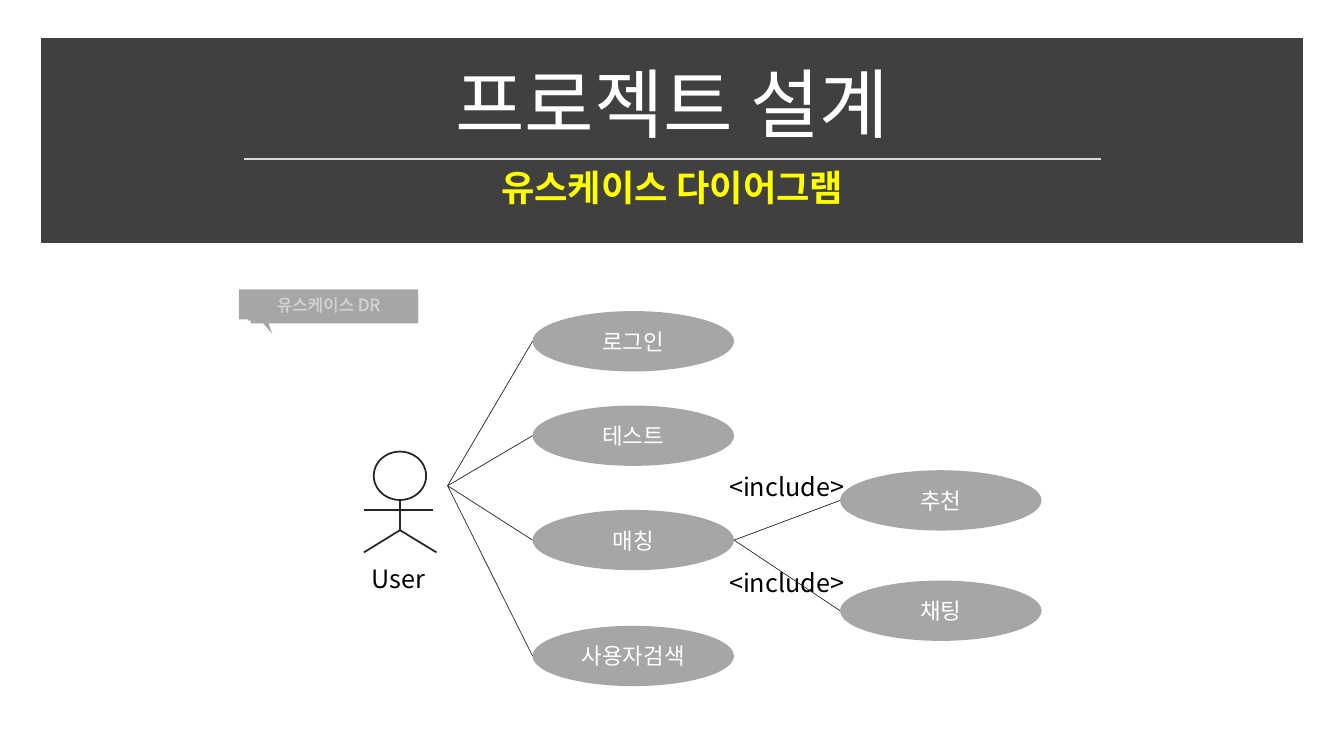
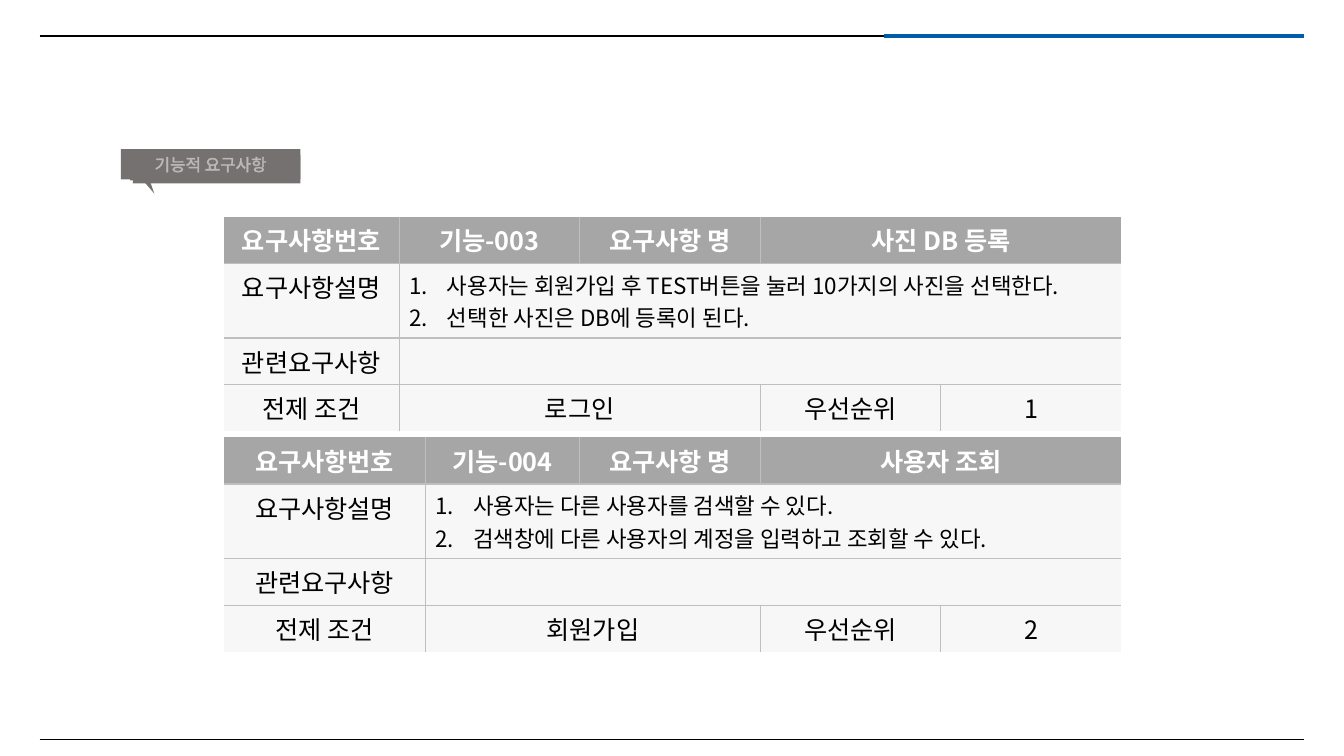
from dataclasses import dataclass
from typing import Any, NamedTuple, Optional

from pptx import Presentation
from pptx.dml.color import RGBColor
from pptx.enum.shapes import MSO_CONNECTOR, MSO_SHAPE
from pptx.enum.text import MSO_ANCHOR, MSO_AUTO_SIZE, PP_ALIGN
from pptx.oxml.xmlchemy import OxmlElement
from pptx.util import Cm, Pt


@dataclass(frozen=True)
class Theme:
    font: str = "Noto Sans CJK KR"
    white: str = "FFFFFF"
    black: str = "000000"
    dark: str = "404040"
    ink: str = "262626"
    gray: str = "A6A6A6"
    stone: str = "767171"
    pale: str = "F7F7F7"
    rule: str = "D9D9D9"
    grid: str = "BFBFBF"
    blue: str = "005BAA"
    gold: str = "FFFF00"
    title: float = 54
    sub: float = 25.9
    body: float = 18
    item: float = 16
    tag: float = 12


T = Theme()


class Box(NamedTuple):
    x: float
    y: float
    w: float
    h: float


class Case(NamedTuple):
    text: str
    x: float
    y: float


class Line(NamedTuple):
    x1: float
    y1: float
    x2: float
    y2: float
    color: str = T.ink
    width: float = 1.25


class Span(NamedTuple):
    text: str
    first: int
    last: int


class Need(NamedTuple):
    y: float
    code: str
    name: str
    steps: str
    prior: str
    rank: str
    cols: tuple[float, ...]


CASE_W, CASE_H = 5.08, 1.52
LEFT, RIGHT = 13.42, 21.17
HUB = (11.28, 12.24)
MATCH = Case("매칭", LEFT, 12.85)
MAIN = (
    Case("로그인", LEFT, 7.84),
    Case("테스트", LEFT, 10.22),
    MATCH,
    Case("사용자검색", LEFT, 15.77),
)
EXTRA = (Case("추천", RIGHT, 11.85), Case("채팅", RIGHT, 14.63))

LIMBS = (
    Line(9.17, 12.85, 10.92, 12.85),
    Line(10.08, 12.57, 10.08, 13.36),
    Line(10.08, 13.36, 11.0, 13.92),
    Line(10.08, 13.36, 9.17, 13.92),
)
LABELS = (
    ("User", Box(9.07, 14.07, 1.93, 1.02)),
    ("<include>", Box(17.83, 11.74, 3.99, 1.02)),
    ("<include>", Box(17.83, 14.18, 3.99, 1.02)),
)
FRAME = (
    Line(1, 0.9, 22.28, 0.9, T.black, 1.5),
    Line(22.28, 0.9, 32.86, 0.9, T.blue, 3),
    Line(1, 18.62, 22.28, 18.62, T.black, 0.5),
    Line(22.28, 18.62, 32.86, 18.62, T.black, 0.5),
)
ROWS = (1.04, 1.63, 1.04, 1.04)
NEEDS = (
    Need(5.46, "기능-003", "사진 DB 등록",
         "사용자는 회원가입 후 TEST버튼을 눌러 10가지의 사진을 선택한다.\n"
         "선택한 사진은 DB에 등록이 된다.",
         "로그인", "1", (4.42, 4.55, 4.55, 4.55, 4.55)),
    Need(11.02, "기능-004", "사용자 조회",
         "사용자는 다른 사용자를 검색할 수 있다.\n"
         "검색창에 다른 사용자의 계정을 입력하고 조회할 수 있다.",
         "회원가입", "2", (5.08, 3.89, 4.55, 4.55, 4.55)),
)


def rgb(color: str) -> RGBColor:
    return RGBColor.from_string(color)


def add(parent: Any, tag: str, **attrs: str) -> Any:
    node = OxmlElement(tag)
    for key, value in attrs.items():
        node.set(key, value)
    parent.append(node)
    return node


def fonts(props: Any) -> None:
    for tag in ("a:latin", "a:ea"):
        for old in props.findall(OxmlElement(tag).tag):
            props.remove(old)
        add(props, tag, typeface=T.font)


def style(frame: Any, size: float, color: str, bold: bool = False,
          align: PP_ALIGN = PP_ALIGN.CENTER) -> None:
    for para in frame.paragraphs:
        para.alignment = align
        for run in para.runs:
            run.font.size = Pt(size)
            run.font.bold = bold
            run.font.color.rgb = rgb(color)
            fonts(run.font._element)
        if not para.runs:
            fonts(add(para._p, "a:endParaRPr", sz=str(int(size * 100))))


def place(box: Box) -> tuple[Cm, Cm, Cm, Cm]:
    return Cm(box.x), Cm(box.y), Cm(box.w), Cm(box.h)


def paint(shape: Any, fill: Optional[str], line: Optional[str] = None,
          width: float = 1) -> None:
    shape.shadow.inherit = False
    if fill:
        shape.fill.solid()
        shape.fill.fore_color.rgb = rgb(fill)
    else:
        shape.fill.background()
    if line:
        shape.line.color.rgb = rgb(line)
        shape.line.width = Pt(width)
    else:
        shape.line.fill.background()


def solid(shapes: Any, kind: MSO_SHAPE, box: Box, fill: Optional[str],
          line: Optional[str] = None, width: float = 1) -> Any:
    shape = shapes.add_shape(kind, *place(box))
    paint(shape, fill, line, width)
    return shape


def draw(shapes: Any, line: Line) -> None:
    link = shapes.add_connector(MSO_CONNECTOR.STRAIGHT, Cm(line.x1), Cm(line.y1),
                                Cm(line.x2), Cm(line.y2))
    link.line.color.rgb = rgb(line.color)
    link.line.width = Pt(line.width)
    add(link._element.spPr, "a:effectLst")


def label(shapes: Any, text: str, box: Box, size: float, color: str,
          bold: bool = False) -> Any:
    frame = shapes.add_textbox(*place(box)).text_frame
    frame.word_wrap = True
    frame.text = text
    style(frame, size, color, bold)
    return frame


def badge(slide: Any, text: str, x: float, y: float, fill: str) -> None:
    shapes = slide.shapes.add_group_shape().shapes
    for dx, dy in ((0.3, 0.15), (0.23, 0.08)):
        solid(shapes, MSO_SHAPE.RECTANGLE, Box(x + dx, y + dy, 4.22, 0.71), fill)
    tail = shapes.build_freeform(Cm(x + 0.61), Cm(y + 0.46))
    tail.add_line_segments([(Cm(x + 0.36), Cm(y + 0.56)),
                            (Cm(x + 0.84), Cm(y + 1.12))], close=True)
    paint(tail.convert_to_shape(), fill)
    frame = solid(shapes, MSO_SHAPE.RECTANGLE, Box(x, y, 4.52, 0.76), fill).text_frame
    frame.text = text
    style(frame, T.tag, T.white)
    props = frame.paragraphs[0].runs[0].font._element
    edge = OxmlElement("a:ln")
    edge.set("w", str(Pt(0.75)))
    tint = add(add(edge, "a:solidFill"), "a:srgbClr", val=T.white)
    add(tint, "a:alpha", val="50000")
    props.insert(0, edge)


def oval(shapes: Any, case: Case) -> None:
    shape = solid(shapes, MSO_SHAPE.OVAL, Box(case.x, case.y, CASE_W, CASE_H), T.gray)
    frame = shape.text_frame
    frame.vertical_anchor = MSO_ANCHOR.MIDDLE
    frame.text = case.text
    style(frame, T.item, T.white)


def join(shapes: Any, x: float, y: float, case: Case) -> None:
    draw(shapes, Line(x, y, case.x, case.y + CASE_H / 2, T.ink, 0.5))


def border(cell: Any, sides: dict[str, bool]) -> None:
    props = cell._tc.get_or_add_tcPr()
    for side, shown in sides.items():
        edge = add(props, f"a:ln{side}", w=str(Pt(1)))
        if shown:
            add(add(edge, "a:solidFill"), "a:srgbClr", val=T.grid)
        else:
            add(edge, "a:noFill")


def number(frame: Any) -> None:
    for para in frame.paragraphs:
        props = para._p.get_or_add_pPr()
        props.set("marL", str(Cm(0.95)))
        props.set("indent", str(Cm(-0.95)))
        add(add(props, "a:buClr"), "a:srgbClr", val=T.black)
        add(props, "a:buFont", typeface=T.font)
        add(props, "a:buAutoNum", type="arabicPeriod")


def sheet(slide: Any, need: Need) -> None:
    box = Box(5.64, need.y, sum(need.cols), sum(ROWS))
    table = slide.shapes.add_table(len(ROWS), len(need.cols), *place(box)).table
    table.first_row = table.horz_banding = False
    for col, width in zip(table.columns, need.cols):
        col.width = Cm(width)
    for row, height in zip(table.rows, ROWS):
        row.height = Cm(height)
    end = len(need.cols) - 1
    grid = (
        (Span("요구사항번호", 0, 0), Span(need.code, 1, 1),
         Span("요구사항 명", 2, 2), Span(need.name, 3, end)),
        (Span("요구사항설명", 0, 0), Span(need.steps, 1, end)),
        (Span("관련요구사항", 0, 0), Span("", 1, end)),
        (Span("전제 조건", 0, 0), Span(need.prior, 1, 2),
         Span("우선순위", 3, 3), Span(need.rank, end, end)),
    )
    for r, spans in enumerate(grid):
        head = r == 0
        for text, first, last in spans:
            for c in range(first, last + 1):
                cell = table.cell(r, c)
                border(cell, {"L": first > 0, "R": last < end,
                              "T": r > 0, "B": r < len(ROWS) - 1})
                cell.fill.solid()
                cell.fill.fore_color.rgb = rgb(T.gray if head else T.pale)
            cell = table.cell(r, first)
            if last > first:
                cell.merge(table.cell(r, last))
            frame = cell.text_frame
            frame.text = text
            if text == need.steps:
                number(frame)
                style(frame, T.item, T.black, align=PP_ALIGN.JUSTIFY)
            else:
                style(frame, T.body, T.white if head else T.black, head)


def design(deck: Any) -> None:
    slide = deck.slides.add_slide(deck.slide_layouts[5])
    shapes = slide.shapes
    band = solid(shapes, MSO_SHAPE.RECTANGLE, Box(1.04, 0.97, 31.78, 5.13),
                 T.dark, T.dark)
    title = shapes.title
    title._element.addprevious(band._element)
    title.left, title.top, title.width, title.height = place(Box(1.47, 1.3, 30.94, 2.59))
    frame = title.text_frame
    frame.text = "프로젝트 설계"
    frame.auto_size = MSO_AUTO_SIZE.NONE
    frame.vertical_anchor = MSO_ANCHOR.BOTTOM
    frame.paragraphs[0].line_spacing = 0.9
    style(frame, T.title, T.white)
    sub = label(shapes, "유스케이스 다이어그램", Box(4.24, 4.24, 25.4, 1.17),
                T.sub, T.gold, True)
    sub.paragraphs[0].line_spacing = 0.8
    draw(shapes, Line(6.15, 4.01, 27.74, 4.01, T.rule, 1.75))

    actor = shapes.add_group_shape().shapes
    solid(actor, MSO_SHAPE.OVAL, Box(9.42, 11.38, 1.32, 1.22), None, T.ink, 1.25)
    for limb in LIMBS:
        draw(actor, limb)
    for case in MAIN + EXTRA:
        oval(shapes, case)
    for case in MAIN:
        join(shapes, *HUB, case)
    for case in EXTRA:
        join(shapes, MATCH.x + CASE_W, MATCH.y + CASE_H / 2, case)
    for text, box in LABELS:
        label(shapes, text, box, T.body, T.black)
    badge(slide, "유스케이스 DR", 6.02, 7.29, T.gray)


def needs(deck: Any) -> None:
    slide = deck.slides.add_slide(deck.slide_layouts[6])
    for need in NEEDS:
        sheet(slide, need)
    for line in FRAME:
        draw(slide.shapes, line)
    badge(slide, "기능적 요구사항", 3.05, 3.76, T.stone)


def main() -> None:
    deck = Presentation()
    deck.slide_width, deck.slide_height = Cm(33.87), Cm(19.05)
    design(deck)
    needs(deck)
    deck.save("out.pptx")


if __name__ == "__main__":
    main()
